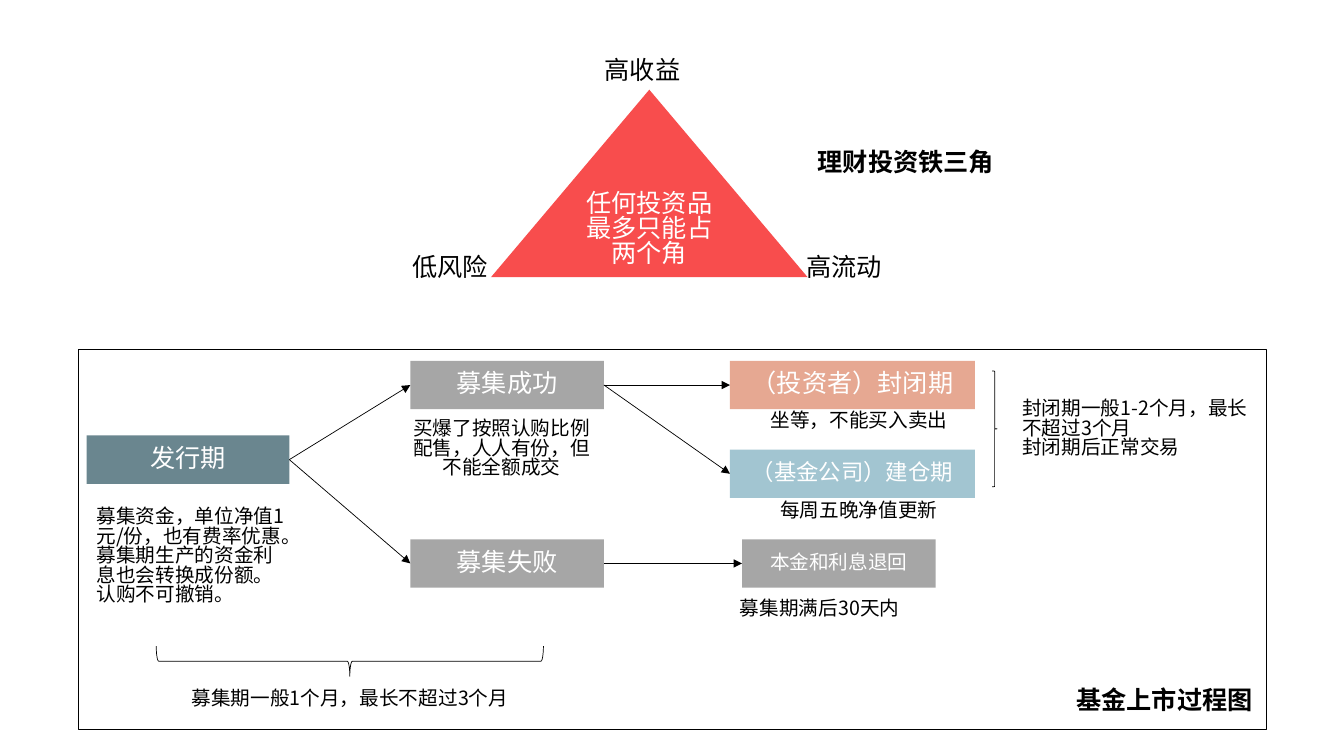
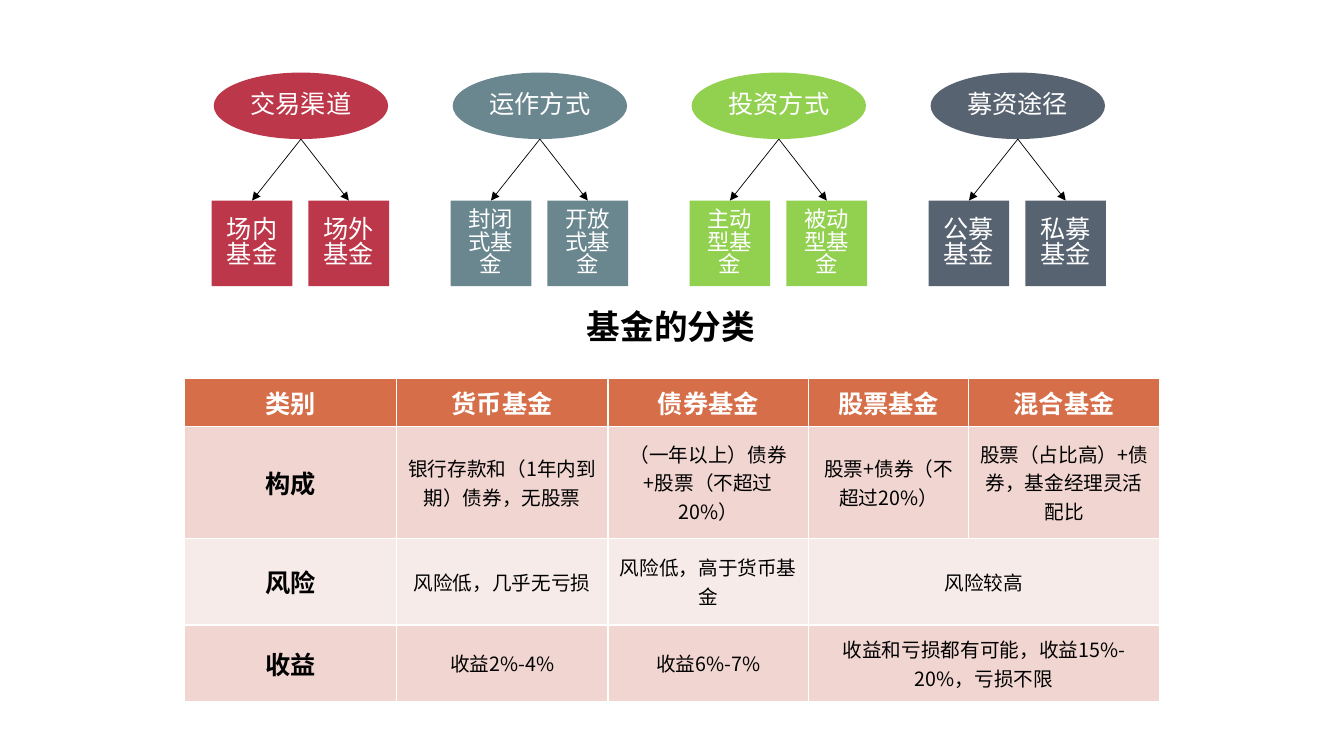
from pptx import Presentation
from pptx.dml.color import RGBColor
from pptx.enum.shapes import MSO_CONNECTOR, MSO_SHAPE
from pptx.enum.text import MSO_ANCHOR, MSO_AUTO_SIZE, PP_ALIGN
from pptx.oxml.ns import qn
from pptx.util import Inches, Pt
from lxml.etree import SubElement

FONT = "Noto Sans CJK SC"
BLACK, WHITE = "000000", "FFFFFF"
SLATE, GREY = "6A868F", "A6A6A6"
LEFT, CENTER = PP_ALIGN.LEFT, PP_ALIGN.CENTER
TIGHT = 0.83
rgb = RGBColor.from_string


def write_text(frame, text, size, colour=BLACK, align=CENTER, bold=False, spacing=TIGHT):
    """Fill a text frame and format its paragraphs and runs."""
    frame.text = text
    frame.word_wrap = True
    for paragraph in frame.paragraphs:
        paragraph.alignment = align
        paragraph.line_spacing = spacing
        for run in paragraph.runs:
            run.font.name = FONT
            run.font.size = Pt(size)
            run.font.bold = bold
            run.font.color.rgb = rgb(colour)
            SubElement(run.font._element, qn("a:ea"), typeface=FONT)


def add_box(slide, kind, box, fill=None, line=None, text="", size=18):
    """Add a preset shape with optional fill, outline width and white text."""
    shape = slide.shapes.add_shape(kind, *[Inches(length) for length in box])
    shape.shadow.inherit = False
    if fill:
        shape.fill.solid()
        shape.fill.fore_color.rgb = rgb(fill)
    else:
        shape.fill.background()
    if line:
        shape.line.color.rgb = rgb(BLACK)
        shape.line.width = Pt(line)
    else:
        shape.line.fill.background()
    if text:
        shape.text_frame.vertical_anchor = MSO_ANCHOR.MIDDLE
        write_text(shape.text_frame, text, size, WHITE)
    return shape


presentation = Presentation()
presentation.slide_width = Inches(13.33)
presentation.slide_height = Inches(7.5)

# Slides and their titles
slides = []
for text, box, size, align in [
    ("理财投资铁三角", (8.01, 1.45, 1.99, 0.4), 18, LEFT),
    ("基金的分类", (4.73, 3.05, 3.85, 0.5), 24, CENTER),
]:
    slide = presentation.slides.add_slide(presentation.slide_layouts[5])
    title = slide.shapes.title
    title.left, title.top, title.width, title.height = [Inches(length) for length in box]
    title.text_frame.auto_size = MSO_AUTO_SIZE.NONE
    title.text_frame.vertical_anchor = MSO_ANCHOR.TOP
    write_text(title.text_frame, text, size, align=align, bold=True)
    slides.append(slide)
process_slide, types_slide = slides
arrows = []

# Slide 1: investment triangle and fund launch process
add_box(process_slide, MSO_SHAPE.ISOSCELES_TRIANGLE, (4.87, 0.89, 3.14, 1.86),
        "F84D4D", text="任何投资品最多只能占两个角")
add_box(process_slide, MSO_SHAPE.RECTANGLE, (0.78, 3.47, 11.78, 3.77), line=1)

steps = {}
for name, left, top, width, fill, size in [
    ("发行期", 0.86, 4.32, 2.01, SLATE, 18),
    ("募集成功", 4.07, 3.58, 1.92, GREY, 18),
    ("募集失败", 4.07, 5.35, 1.92, GREY, 18),
    ("本金和利息退回", 7.36, 5.35, 1.92, GREY, 14),
    ("（投资者）封闭期", 7.24, 3.58, 2.43, "E6A892", 18),
    ("（基金公司）建仓期", 7.24, 4.46, 2.43, "A2C5D1", 16),
]:
    steps[name] = add_box(process_slide, MSO_SHAPE.RECTANGLE, (left, top, width, 0.48),
                          fill, text=name, size=size)

for source, target in [
    ("发行期", "募集成功"),
    ("发行期", "募集失败"),
    ("募集成功", "（投资者）封闭期"),
    ("募集成功", "（基金公司）建仓期"),
    ("募集失败", "本金和利息退回"),
]:
    start, end = steps[source], steps[target]
    arrows.append((process_slide, start.left + start.width, start.top + start.height // 2,
                   end.left, end.top + end.height // 2))

raising_brace = add_box(process_slide, MSO_SHAPE.LEFT_BRACE, (3.32, 4.64, 0.3, 3.84), line=0.5)
raising_brace.rotation = 270
add_box(process_slide, MSO_SHAPE.RIGHT_BRACE, (9.84, 3.68, 0.05, 1.15), line=0.5)

for text, box, size, align, bold in [
    ("高收益", (5.9, 0.54, 1.17, 0.37), 18, LEFT, False),
    ("低风险", (3.99, 2.49, 1.17, 0.37), 18, LEFT, False),
    ("高流动", (7.9, 2.49, 1.17, 0.37), 18, LEFT, False),
    ("募集资金，单位净值1元/份，也有费率优惠。募集期生产的资金利息也会转换成份额。认购不可撤销。",
     (0.86, 4.99, 2.08, 1.28), 14, LEFT, False),
    ("买爆了按照认购比例配售，人人有份，但不能全额成交", (3.99, 4.12, 1.97, 0.81), 14, CENTER, False),
    ("坐等，不能买入卖出", (7.24, 4.04, 2.56, 0.34), 14, CENTER, False),
    ("每周五晚净值更新", (7.64, 4.93, 1.76, 0.34), 14, LEFT, False),
    ("募集期满后30天内", (7.24, 5.9, 2.23, 0.34), 14, LEFT, False),
    ("封闭期一般1-2个月，最长不超过3个月\n封闭期后正常交易",
     (10.04, 3.92, 2.45, 0.81), 14, LEFT, False),
    ("募集期一般1个月，最长不超过3个月", (1.23, 6.79, 4.48, 0.34), 14, CENTER, False),
    ("基金上市过程图", (10.39, 6.79, 2.32, 0.4), 18, CENTER, True),
]:
    label = process_slide.shapes.add_textbox(*[Inches(length) for length in box])
    write_text(label.text_frame, text, size, align=align, bold=bold)

# Slide 2: four ways to classify funds, then the comparison table
for index, (criterion, fill, size, kinds) in enumerate([
    ("交易渠道", "BD374A", 18, ("场内基金", "场外基金")),
    ("运作方式", SLATE, 16, ("封闭式基金", "开放式基金")),
    ("投资方式", "92D050", 16, ("主动型基金", "被动型基金")),
    ("募资途径", "586371", 18, ("公募基金", "私募基金")),
]):
    left = 2.1 + 2.37 * index
    oval = add_box(types_slide, MSO_SHAPE.OVAL, (left + 0.02, 0.72, 1.73, 0.66),
                   fill, text=criterion)
    for column, kind in enumerate(kinds):
        square = add_box(types_slide, MSO_SHAPE.RECTANGLE,
                         (left + 0.96 * column, 1.99, 0.8, 0.85), fill, text=kind, size=size)
        arrows.append((types_slide, oval.left + oval.width // 2, oval.top + oval.height,
                       square.left + square.width // 2, square.top))

rows = [
    ("类别", "货币基金", "债券基金", "股票基金", "混合基金"),
    ("构成", "银行存款和（1年内到期）债券，无股票", "（一年以上）债券+股票（不超过20%）",
     "股票+债券（不超过20%）", "股票（占比高）+债券，基金经理灵活配比"),
    ("风险", "风险低，几乎无亏损", "风险低，高于货币基金", "风险较高"),
    ("收益", "收益2%-4%", "收益6%-7%", "收益和亏损都有可能，收益15%-20%，亏损不限"),
]
row_fills = ["D66E49", "F0D5D0", "F7EBE9", "F0D5D0"]
table = types_slide.shapes.add_table(
    4, 5, Inches(1.83), Inches(3.75), Inches(9.67), Inches(3.21)).table
for column, width in zip(table.columns, [2.1, 2.1, 1.99, 1.59, 1.89]):
    column.width = Inches(width)
for row, height in zip(table.rows, [0.48, 1.11, 0.86, 0.76]):
    row.height = Inches(height)
for row_index, (texts, fill) in enumerate(zip(rows, row_fills)):
    if len(texts) == 4:
        table.cell(row_index, 3).merge(table.cell(row_index, 4))
    for column_index, text in enumerate(texts):
        cell = table.cell(row_index, column_index)
        cell.fill.solid()
        cell.fill.fore_color.rgb = rgb(fill)
        cell.vertical_anchor = MSO_ANCHOR.MIDDLE
        heading = row_index == 0 or column_index == 0
        write_text(cell.text_frame, text, 18 if heading else 14,
                   BLACK if row_index else WHITE, bold=heading, spacing=1.0)

# Arrows of both slides
for slide, *ends in arrows:
    arrow = slide.shapes.add_connector(MSO_CONNECTOR.STRAIGHT, *ends)
    arrow.line.color.rgb = rgb(BLACK)
    arrow.line.width = Pt(0.5)
    SubElement(arrow.line._get_or_add_ln(), qn("a:tailEnd"), type="triangle")
    SubElement(arrow._element.spPr, qn("a:effectLst"))

presentation.save("out.pptx")
